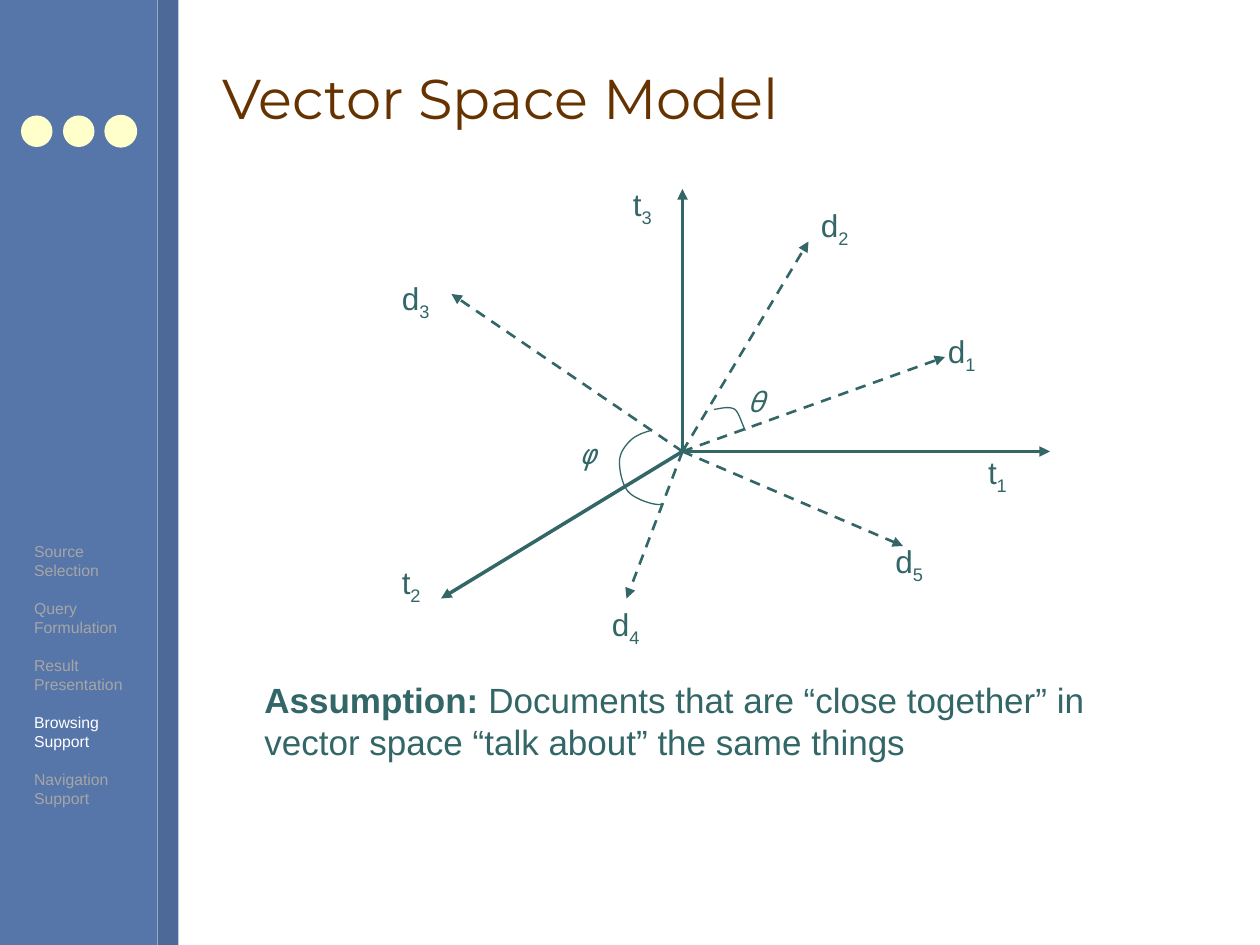
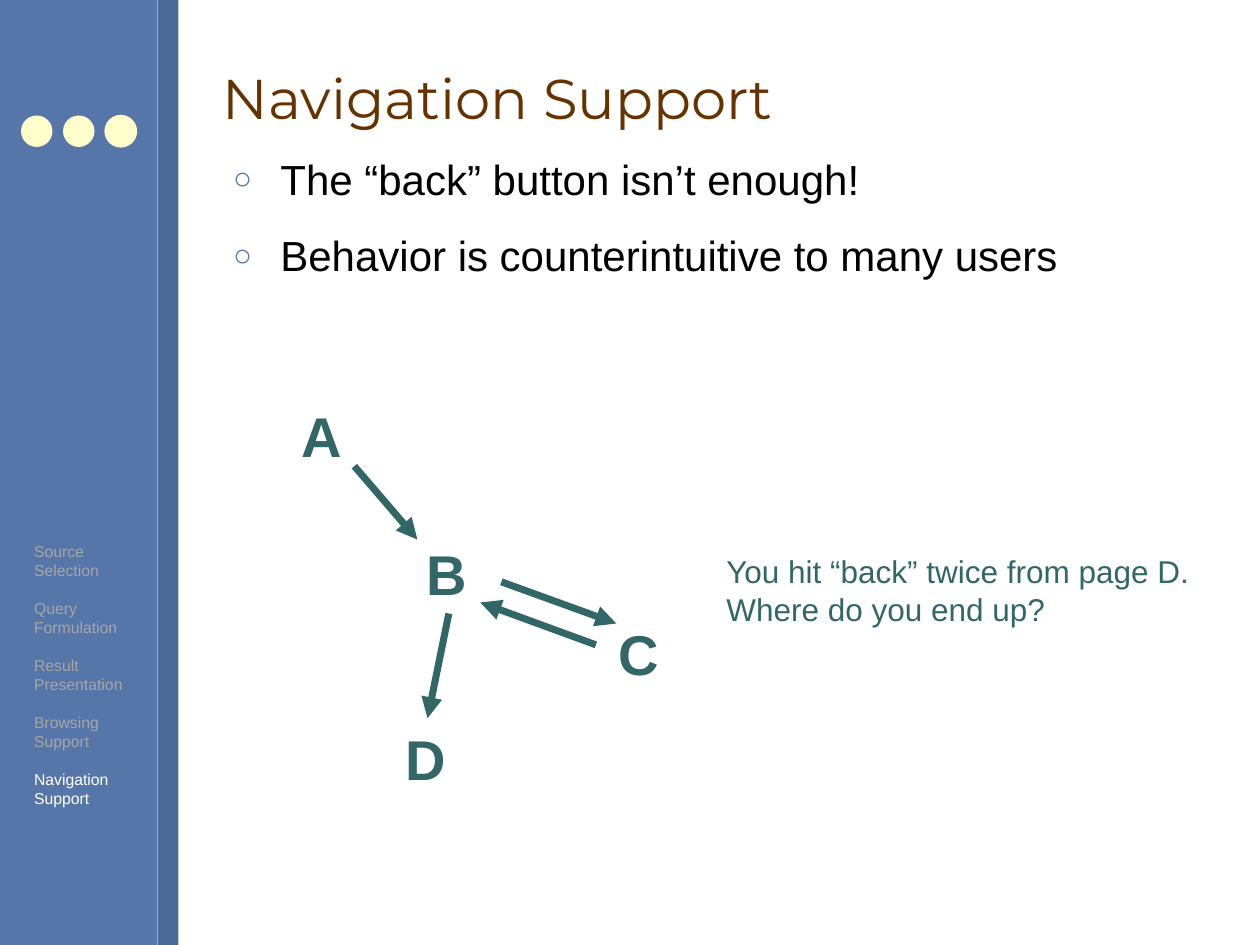
"""Build two lecture slides on vector spaces and navigation support."""
import pptx
import pptx.dml.color
import pptx.enum.dml
import pptx.enum.shapes
import pptx.enum.text
import pptx.oxml
import pptx.oxml.ns
import pptx.util

Pt = pptx.util.Pt
TEAL = "336666"
BLUE = "5675A9"
DARK_BLUE = "4D6997"
CREAM = "FFFFCC"
GREY = "A6A6A6"
WHITE = "FFFFFF"

TITLE = {"name": "Montserrat", "size": Pt(32), "color": "663300"}
BULLET = {"name": "Arial", "size": Pt(24), "color": "000000"}
STATEMENT = {"name": "Arial", "size": Pt(20), "color": TEAL}
LABEL = {"name": "Arial", "size": Pt(18), "color": TEAL}
ANGLE = {"name": "Noto Sans Mono", "size": Pt(16), "color": TEAL, "italic": True}
NODE = {"name": "Arial", "size": Pt(32), "color": TEAL, "bold": True}
TOPIC = {"name": "Arial", "size": Pt(9), "color": GREY}

TOPICS = ["Source\nSelection", "Query\nFormulation", "Result\nPresentation",
          "Browsing\nSupport", "Navigation\nSupport"]

ORIGIN = (390, 258)
AXES = [(600, 258), (390, 108), (252, 342)]
DOCUMENTS = [(540, 204), (516, 312), (462, 138), (358, 342), (258, 168)]
VECTOR_LABELS = [("t", 1, 557.5, 255.5), ("t", 2, 222.5, 318), ("t", 3, 354.5, 102),
                 ("d", 1, 534.5, 186), ("d", 2, 462, 114), ("d", 3, 222.5, 156),
                 ("d", 4, 342.5, 342), ("d", 5, 504.5, 306)]
THETA_ARC = [(408, 234), (412.5, 233.3), (417, 232), (420, 234),
             (422.5, 236), (424.5, 244), (426, 246)]
PHI_ARC = [(372, 246), (367, 247.5), (363, 249), (360, 252), (357, 255),
           (354, 259), (354, 264), (354, 269), (355.5, 278), (360, 282),
           (364.5, 286), (376, 289.5), (378, 288)]

NODES = [("A", 165.2, 225.7), ("B", 236.9, 304.6),
         ("C", 346.3, 350.6), ("D", 224.6, 410.4)]
JUMPS = [((202.5, 266.4), (238.5, 308.3)), ((286.5, 332.5), (352.2, 356.3)),
         ((340.5, 368.5), (274.5, 344.3)), ((256.5, 350.6), (244.3, 410.4))]


def rgb(hex_code):
    """Return the colour object for a hex string."""
    return pptx.dml.color.RGBColor.from_string(hex_code)


def set_attributes(target, values):
    """Set every attribute named in a dict of values."""
    for name, value in values.items():
        setattr(target, name, value)


def add_span(para, text, style, **changes):
    """Add text to a paragraph, turning newlines into line breaks."""
    values = {**style, **changes}
    color = values.pop("color")
    for index, line in enumerate(text.split("\n")):
        if index:
            para.add_line_break()
        span = para.add_run()
        span.text = line
        set_attributes(span.font, values)
        span.font.color.rgb = rgb(color)
    return span


def add_box(page, left, top, width, height, wrap=False):
    """Add an empty text box and return its text frame."""
    box = page.shapes.add_textbox(Pt(left), Pt(top), Pt(width), Pt(height))
    set_attributes(box.text_frame, {
        "word_wrap": wrap,
        "auto_size": pptx.enum.text.MSO_AUTO_SIZE.SHAPE_TO_FIT_TEXT})
    return box.text_frame


def add_label(page, text, left, top, width, height, style):
    """Add a one-line label and return its paragraph."""
    para = add_box(page, left, top, width, height).paragraphs[0]
    add_span(para, text, style)
    return para


def add_panel(page, kind, left, top, width, height, color):
    """Add a plain filled shape."""
    panel = page.shapes.add_shape(kind, Pt(left), Pt(top), Pt(width), Pt(height))
    panel.shadow.inherit = False
    panel.fill.solid()
    panel.fill.fore_color.rgb = rgb(color)
    panel.line.fill.background()
    return panel


def add_arrow(page, start, end, weight, dashed=False):
    """Add a straight arrow between two points."""
    arrow = page.shapes.add_connector(
        pptx.enum.shapes.MSO_CONNECTOR.STRAIGHT,
        *(Pt(value) for value in (*start, *end)))
    arrow.line.width = Pt(weight)
    arrow.line.color.rgb = rgb(TEAL)
    if dashed:
        arrow.line.dash_style = pptx.enum.dml.MSO_LINE.DASH
    properties = arrow.element.spPr
    head = pptx.oxml.parse_xml(
        f'<a:tailEnd {pptx.oxml.ns.nsdecls("a")} type="triangle"/>')
    properties.find(pptx.oxml.ns.qn("a:ln")).append(head)
    properties.append(pptx.oxml.parse_xml(
        f'<a:effectLst {pptx.oxml.ns.nsdecls("a")}/>'))


def curve_points(controls, steps=12):
    """Sample a chain of cubic curves into points."""
    points = [controls[0]]
    for first in range(0, len(controls) - 1, 3):
        a, b, c, d = controls[first:first + 4]
        for step in range(1, steps + 1):
            t = step / steps
            u = 1 - t
            weights = (u ** 3, 3 * u * u * t, 3 * u * t * t, t ** 3)
            points.append(tuple(sum(w * v for w, v in zip(weights, values))
                                for values in zip(a, b, c, d)))
    return points


def add_arc(page, controls):
    """Draw an open curved angle mark."""
    points = [(Pt(x), Pt(y)) for x, y in curve_points(controls)]
    builder = page.shapes.build_freeform(*points[0])
    builder.add_line_segments(points[1:], close=False)
    arc = builder.convert_to_shape()
    arc.shadow.inherit = False
    arc.fill.background()
    arc.line.color.rgb = rgb(TEAL)
    arc.line.width = Pt(0.75)


def place(holder, left, top, width, height):
    """Move and size a placeholder."""
    set_attributes(holder, {"left": Pt(left), "top": Pt(top),
                            "width": Pt(width), "height": Pt(height)})
    holder.text_frame.auto_size = pptx.enum.text.MSO_AUTO_SIZE.NONE


def add_topics(page, current):
    """List the course topics with the current one highlighted."""
    frame = add_box(page, 12.4, 306, 65, 159)
    for index, topic in enumerate(TOPICS):
        para = frame.add_paragraph() if index else frame.paragraphs[0]
        para.space_before = Pt(10.9 if index else 0)
        add_span(para, topic, TOPIC, color=WHITE if index == current else GREY)


def add_page(deck, layout, title, current):
    """Add a slide with the shared side bands, dots, title and topics."""
    page = deck.slides.add_slide(deck.slide_layouts[layout])
    kinds = pptx.enum.shapes.MSO_SHAPE
    add_panel(page, kinds.RECTANGLE, 0, 0, 90, 540, BLUE)
    add_panel(page, kinds.RECTANGLE, 90, 0, 12, 540, DARK_BLUE)
    for index in range(3):
        dot = add_panel(page, kinds.OVAL, 12 + 24 * index, 66, 18, 18, CREAM)
    dot.line.color.rgb = rgb(CREAM)
    dot.line.width = Pt(0.75)
    place(page.shapes.title, 120, 15, 576, 81.5)
    frame = page.shapes.title.text_frame
    frame.vertical_anchor = pptx.enum.text.MSO_ANCHOR.MIDDLE
    frame.paragraphs[0].alignment = pptx.enum.text.PP_ALIGN.LEFT
    add_span(frame.paragraphs[0], title, TITLE)
    add_topics(page, current)
    return page


def add_bullet(para, text, first):
    """Write one ring-bulleted paragraph."""
    properties = para._p.get_or_add_pPr()
    properties.set("marL", str(Pt(27)))
    properties.set("indent", str(Pt(-27)))
    set_attributes(para, {"space_before": Pt(0 if first else 7.5),
                          "space_after": Pt(7.5)})
    for markup in (f'buClr {{}}><a:srgbClr val="{BLUE}"/></a:buClr>',
                   'buSzPct {} val="75000"/>', 'buChar {} char="○"/>'):
        properties.append(pptx.oxml.parse_xml(
            "<a:" + markup.format(pptx.oxml.ns.nsdecls("a"))))
    add_span(para, text, BULLET)


def build_vector_page(deck):
    """Show document vectors among the term axes."""
    page = add_page(deck, 5, "Vector Space Model", 3)
    para = add_box(page, 144, 384, 540, 55.5, wrap=True).paragraphs[0]
    add_span(para, "Assumption: ", STATEMENT, bold=True)
    add_span(para, "Documents that are “close together” in vector space "
                   "“talk about” the same things", STATEMENT)
    for tip in AXES:
        add_arrow(page, ORIGIN, tip, 2)
    for tip in DOCUMENTS:
        add_arrow(page, ORIGIN, tip, 1.5, dashed=True)
    for letter, number, left, top in VECTOR_LABELS:
        width = 25.2 if letter == "t" else 30.2
        para = add_label(page, letter, left, top, width, 31.7, LABEL)
        span = add_span(para, str(number), LABEL)
        span._r.get_or_add_rPr().set("baseline", "-25000")
    add_arc(page, THETA_ARC)
    add_arc(page, PHI_ARC)
    add_label(page, "θ", 420, 216, 24, 26.6, ANGLE)
    add_label(page, "φ", 324, 246, 24, 26.6, ANGLE)


def build_navigation_page(deck):
    """Show a browsing path and the question about it."""
    page = add_page(deck, 1, "Navigation Support", 4)
    body = page.placeholders[1]
    place(body, 126, 84, 570, 414)
    frame = body.text_frame
    add_bullet(frame.paragraphs[0], "The “back” button isn’t enough!", True)
    add_bullet(frame.add_paragraph(),
               "Behavior is counterintuitive to many users", False)
    for letter, left, top in NODES:
        add_label(page, letter, left, top, 37.5, 46, NODE)
    for start, end in JUMPS:
        add_arrow(page, start, end, 4)
    frame = add_box(page, 408, 312, 280, 50.5)
    add_span(frame.paragraphs[0], "You hit “back” twice from page D.", LABEL)
    add_span(frame.add_paragraph(), "Where do you end up?", LABEL)


def main():
    """Build and save the deck."""
    deck = pptx.Presentation()
    set_attributes(deck, {"slide_width": Pt(720), "slide_height": Pt(540)})
    build_vector_page(deck)
    build_navigation_page(deck)
    deck.save("out.pptx")


if __name__ == "__main__":
    main()
